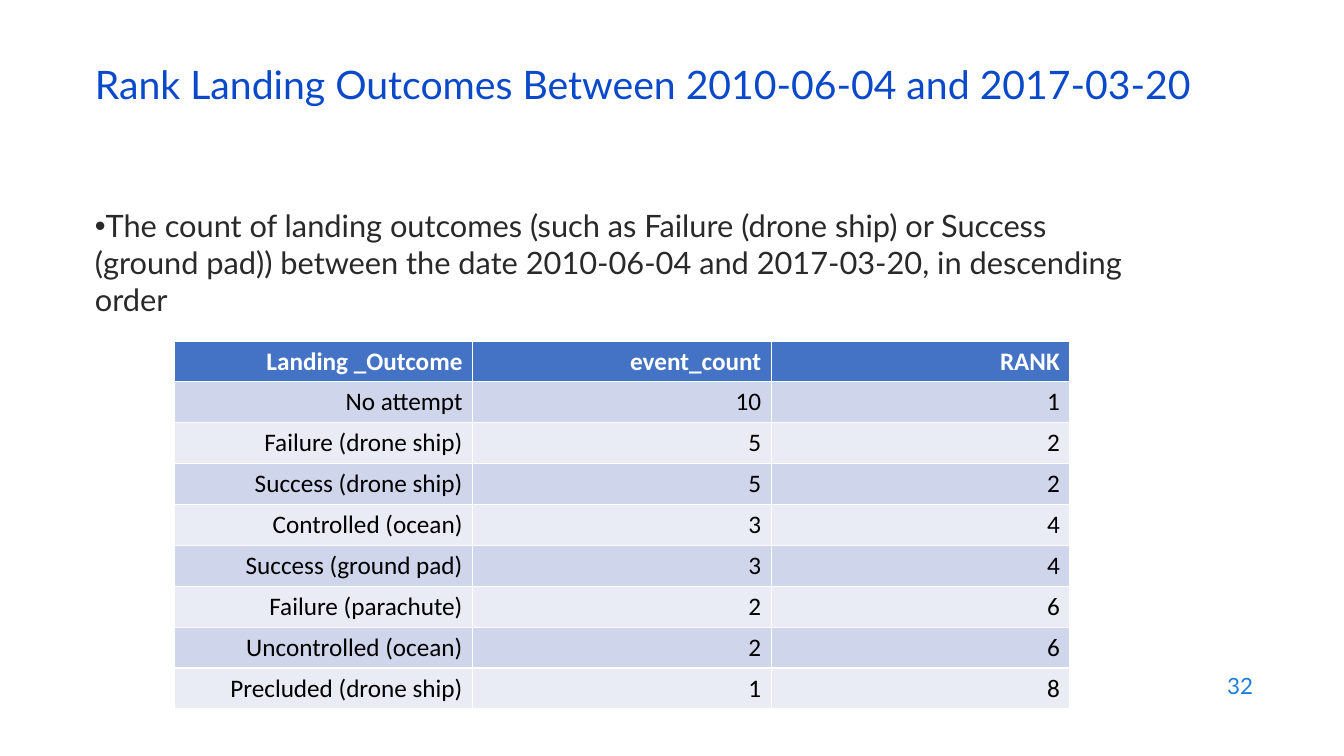
from lxml import etree
from pptx import Presentation
from pptx.dml.color import RGBColor
from pptx.enum.text import MSO_ANCHOR, PP_ALIGN
from pptx.oxml.ns import qn
from pptx.util import Pt

RIGHT, LEFT = PP_ALIGN.RIGHT, PP_ALIGN.LEFT
MIDDLE, TOP = MSO_ANCHOR.MIDDLE, MSO_ANCHOR.TOP
EMU_PER_PX = 914400 / 100.8


def px(n):
    return round(n * EMU_PER_PX)


def add_run(p, text, font, size, color, bold=False):
    r = p.add_run()
    r.text = text
    r.font.name = font
    r.font.size = Pt(size)
    r.font.bold = bold
    r.font.color.rgb = RGBColor.from_string(color)


prs = Presentation()
prs.slide_width, prs.slide_height = px(1344), px(756)
s = prs.slides.add_slide(prs.slide_layouts[6])

# Title, description and page number
texts = [
    ("Rank Landing Outcomes Between 2010-06-04 and 2017-03-20",
     (85, 59, 1159, 61), 28, "0B49CB", LEFT, MIDDLE, 0.7, False),
    ("The count of landing outcomes (such as Failure (drone ship) or Success "
     "(ground pad)) between the date 2010-06-04 and 2017-03-20, in descending order",
     (85, 202, 1074, 130), 22, "292929", LEFT, TOP, 1.0, True),
    ("32", (961, 664, 302, 44), 16, "1C7DDB", RIGHT, MIDDLE, 1.0, False),
]
for text, box, size, color, align, anchor, spacing, bullet in texts:
    tf = s.shapes.add_textbox(*map(px, box)).text_frame
    tf.word_wrap = True
    tf.vertical_anchor = anchor
    p = tf.paragraphs[0]
    p.alignment = align
    p.line_spacing = spacing
    if bullet:
        pPr = p._p.get_or_add_pPr()
        pPr.set("marL", "0")
        pPr.set("indent", "0")
        etree.SubElement(pPr, qn("a:buFont")).set("typeface", "Arial")
        etree.SubElement(pPr, qn("a:buChar")).set("char", "•")
    add_run(p, text, "Lato", size, color)

# Outcome table
rows = [
    ("Landing _Outcome", "event_count", "RANK"),
    ("No attempt", "10", "1"),
    ("Failure (drone ship)", "5", "2"),
    ("Success (drone ship)", "5", "2"),
    ("Controlled (ocean)", "3", "4"),
    ("Success (ground pad)", "3", "4"),
    ("Failure (parachute)", "2", "6"),
    ("Uncontrolled (ocean)", "2", "6"),
    ("Precluded (drone ship)", "1", "8"),
]
table = s.shapes.add_table(len(rows), 3, px(174), px(341), px(896), px(368)).table
for i, values in enumerate(rows):
    header = i == 0
    fill = "4472C4" if header else ("E9EBF5", "CFD5EA")[i % 2]
    for j, value in enumerate(values):
        cell = table.cell(i, j)
        cell.fill.solid()
        cell.fill.fore_color.rgb = RGBColor.from_string(fill)
        cell.vertical_anchor = MIDDLE
        p = cell.text_frame.paragraphs[0]
        p.alignment = RIGHT
        add_run(p, value, "Calibri", 18, "FFFFFF" if header else "000000", header)

prs.save("out.pptx")
